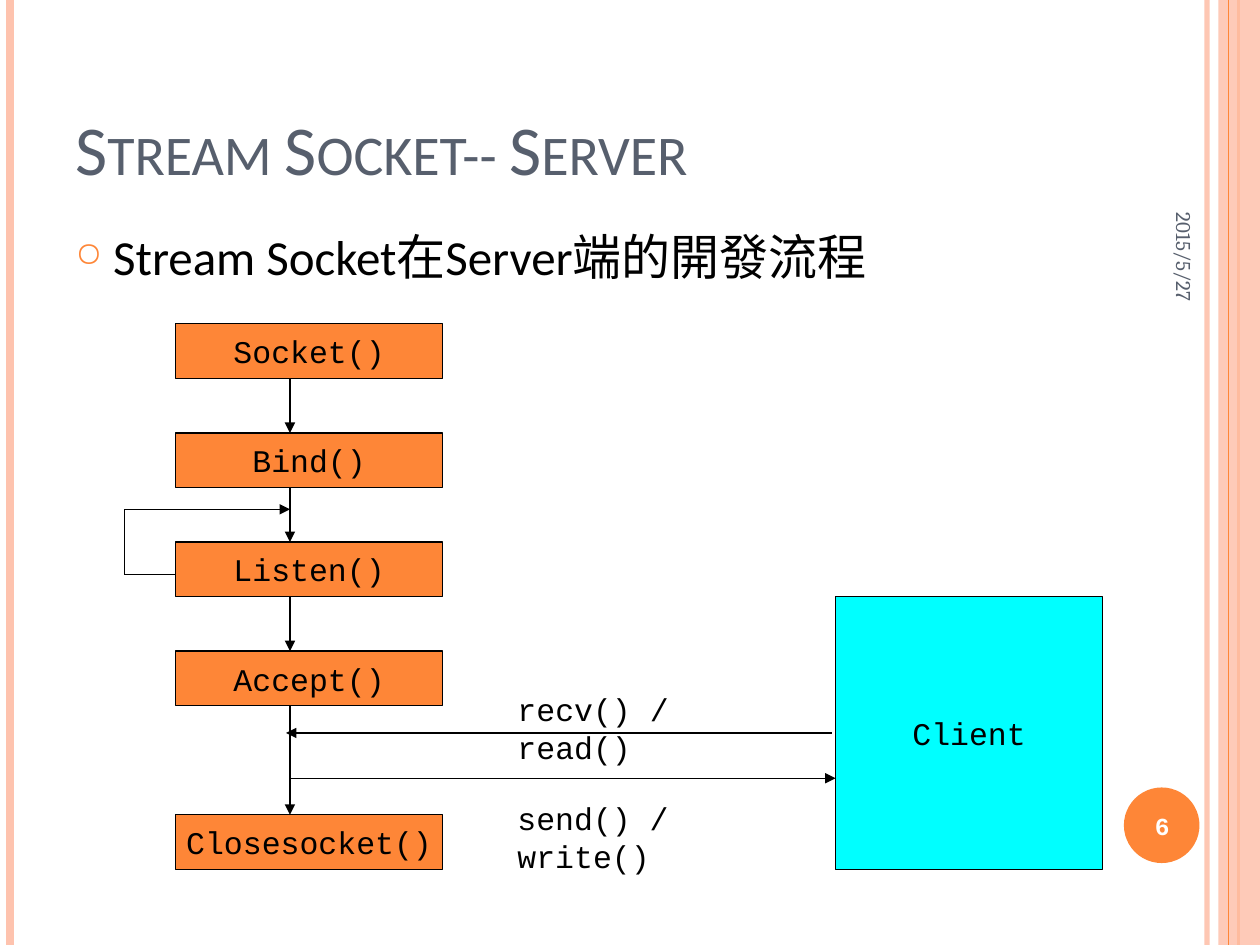
from lxml.etree import SubElement
from pptx import Presentation
from pptx.dml.color import RGBColor
from pptx.enum.shapes import MSO_CONNECTOR, MSO_SHAPE
from pptx.enum.text import MSO_ANCHOR, PP_ALIGN
from pptx.oxml.ns import qn
from pptx.util import Inches, Pt

WIDTH, HEIGHT = 10, 7.5
ORANGE, PEACH, SLATE = "FE8637", "FEC3AE", "575F6D"
BLACK, CYAN, WHITE = "000000", "00FFFF", "FFFFFF"
MONO = "Courier New"


def color(hex_code):
    return RGBColor.from_string(hex_code)


def set_alpha(fill_parent, percent):
    rgb = next(fill_parent.iter(qn("a:srgbClr")))
    SubElement(rgb, qn("a:alpha"), val=str(percent * 1000))


def write(frame, words, size, font, tint, align=PP_ALIGN.LEFT,
          anchor=MSO_ANCHOR.TOP, wrap=True, bold=False):
    frame.word_wrap = wrap
    frame.vertical_anchor = anchor
    paragraph = frame.paragraphs[0]
    paragraph.add_run().text = words
    paragraph.alignment = align
    paragraph.font.size = Pt(size)
    paragraph.font.name = font
    paragraph.font.bold = bold
    paragraph.font.color.rgb = color(tint)
    return paragraph


def add_text(slide, box, words, size, font, tint, **layout):
    label = slide.shapes.add_textbox(*map(Inches, box))
    return label, write(label.text_frame, words, size, font, tint, **layout)


def add_block(slide, kind, box, fill, outline=None):
    block = slide.shapes.add_shape(kind, *map(Inches, box))
    block.shadow.inherit = False
    block.fill.solid()
    block.fill.fore_color.rgb = color(fill)
    if outline:
        block.line.color.rgb = color(outline)
        block.line.width = Pt(0.75)
    else:
        block.line.fill.background()
    return block


def add_line(slide, start, end, tint=BLACK, width=0.75, arrow=False):
    line = slide.shapes.add_connector(
        MSO_CONNECTOR.STRAIGHT, *map(Inches, (*start, *end)))
    line.line.color.rgb = color(tint)
    line.line.width = Pt(width)
    if arrow:
        SubElement(line.line._get_or_add_ln(), qn("a:tailEnd"), type="triangle")
    SubElement(line._element.spPr, qn("a:effectLst"))
    return line


def draw_frame(slide, width, height):
    """Stripes along both edges and the disc behind the page number."""
    def stripe(share, tint, weight):
        x = width * share
        return add_line(slide, (x, 0), (x, height), tint, weight)

    set_alpha(stripe(0.958, PEACH, 3)._element.spPr, 93)
    stripe(0.008, PEACH, 4.5)
    stripe(0.983, ORANGE, 1.5)
    band = add_block(slide, MSO_SHAPE.RECTANGLE,
                     (width * 0.967, 0, width * 0.033, height), PEACH)
    set_alpha(band._element.spPr, 87)
    stripe(0.975, ORANGE, 0.75)
    add_block(slide, MSO_SHAPE.OVAL, (8.92, 6.25, 0.6, 0.6), ORANGE)


def draw_heading(slide, left, top, width):
    """Title in small capitals and one bulleted line below it."""
    _, title = add_text(slide, (left, top, width, 1.25), "Stream Socket-- Server",
                        40, "Calibri", SLATE, anchor=MSO_ANCHOR.BOTTOM)
    title.runs[0]._r.get_or_add_rPr().set("cap", "small")

    _, topic = add_text(slide, (left, top + 1.45, width, 5.33),
                        "Stream Socket在Server端的開發流程", 28, "Calibri", BLACK)
    topic.space_before = Pt(6)
    props = topic._p.get_or_add_pPr()
    props.set("marL", str(Inches(0.3)))
    props.set("indent", str(-Inches(0.3)))
    bullet_color = SubElement(props, qn("a:buClr"))
    SubElement(bullet_color, qn("a:srgbClr"), val=ORANGE)
    SubElement(props, qn("a:buSzPct"), val="70000")
    SubElement(props, qn("a:buChar"), char="○")
    # Bullet settings come before the default run properties
    props.append(props.find(qn("a:defRPr")))


def draw_flow(slide, left, top, width, height):
    """Server calls and client on a grid of 100 columns and 10 rows."""
    def at(column, row):
        return left + width * column / 100, top + height * row / 10

    def span(columns, rows):
        return width * columns / 100, height * rows / 10

    def arrow(start, end, head=True):
        add_line(slide, at(*start), at(*end), arrow=head)

    step_left, step_width, trunk, client_left = 5.2, 27.3, 16.9, 72.7

    # Server steps, each one row high, and the client
    steps = [("Socket()", 0), ("Bind()", 2), ("Listen()", 4),
             ("Accept()", 6), ("Closesocket()", 9)]
    nodes = [(name, step_left, row, 1, ORANGE) for name, row in steps]
    nodes.append(("Client", client_left, 5, 5, CYAN))
    for name, column, row, rows, fill in nodes:
        node = add_block(slide, MSO_SHAPE.RECTANGLE,
                         (*at(column, row), *span(step_width, rows)), fill, BLACK)
        write(node.text_frame, name, 18, MONO, BLACK, align=PP_ALIGN.CENTER,
              anchor=MSO_ANCHOR.MIDDLE, wrap=False)

    # Trunk from step to step
    for (_, row), (_, next_row) in zip(steps, steps[1:]):
        arrow((trunk, row + 1), (trunk, next_row))

    # Exchange with the client
    arrow((trunk, 8.33), (client_left, 8.33))
    arrow((client_left - 0.4, 7.5), (trunk - 0.4, 7.5))

    # Loop back from Listen()
    loop = [(step_left, 4.6), (0, 4.6), (0, 3.4), (trunk, 3.4)]
    for start, end in zip(loop, loop[1:]):
        arrow(start, end, head=end == loop[-1])

    # Exchange labels
    for words, row, columns in [("recv() / read()", 6.6, 29.4),
                                ("send() / write()", 8.6, 31.2)]:
        add_text(slide, (*at(38.9, row), *span(columns, 0.92)),
                 words, 18, MONO, BLACK)


def draw_footer(slide):
    """Upright date and page number at the right edge."""
    date, _ = add_text(slide, (8.3, 1.18, 2.2, 0.42), "2015/5/27", 12, "Cambria",
                       SLATE, align=PP_ALIGN.RIGHT, anchor=MSO_ANCHOR.MIDDLE)
    date.rotation = 90
    add_text(slide, (8.89, 6.27, 0.67, 0.57), "6", 14, MONO, WHITE, bold=True,
             align=PP_ALIGN.CENTER, anchor=MSO_ANCHOR.MIDDLE)


deck = Presentation()
deck.slide_width, deck.slide_height = Inches(WIDTH), Inches(HEIGHT)
page = deck.slides.add_slide(deck.slide_layouts[6])
draw_frame(page, WIDTH, HEIGHT)
draw_heading(page, 0.5, 0.3, 8.17)
draw_flow(page, 0.99, 2.57, 7.76, 4.33)
draw_footer(page)
deck.save("out.pptx")
